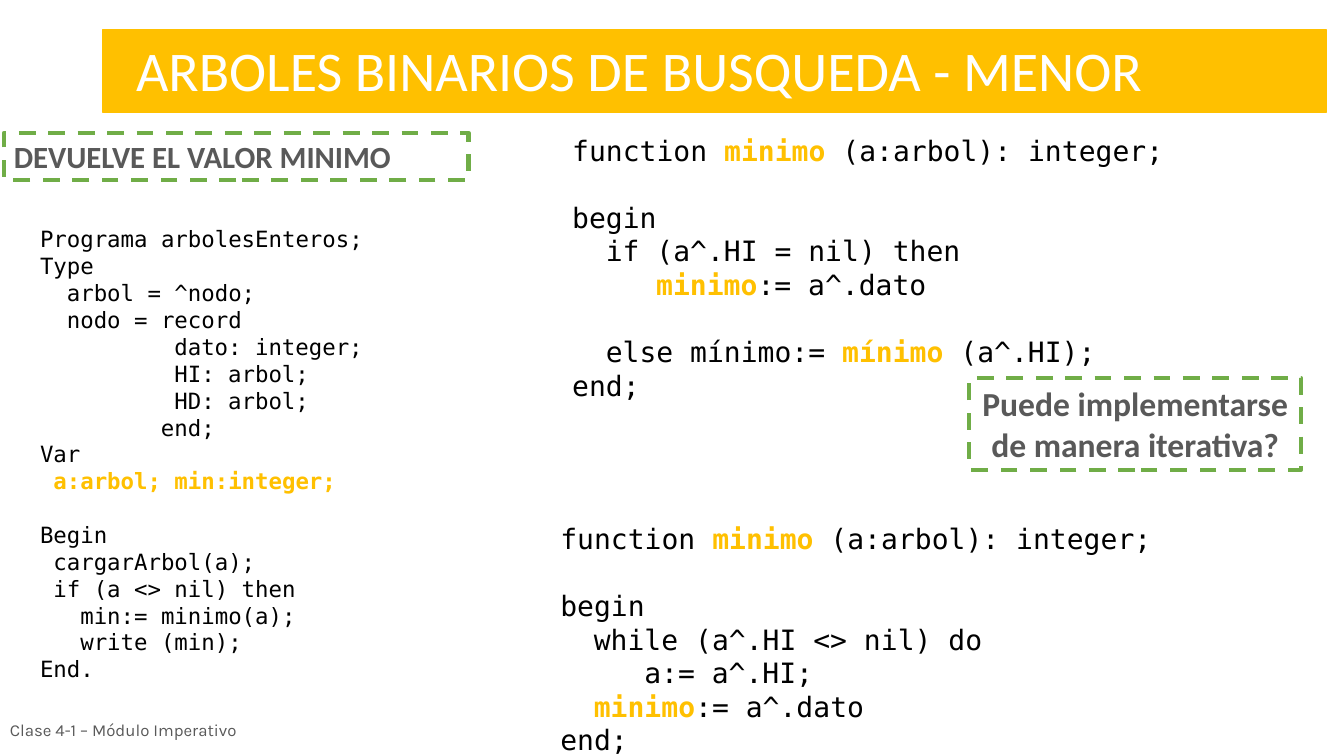
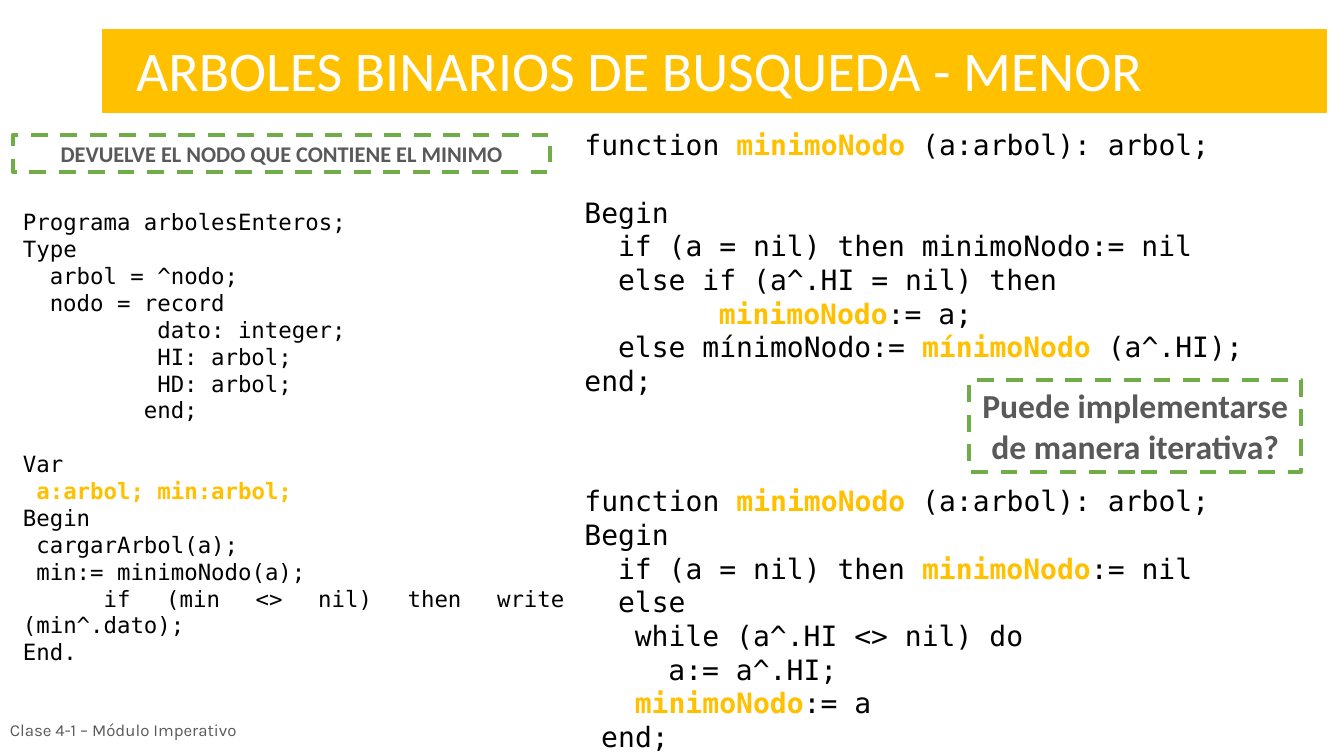
from pptx import Presentation
from pptx.dml.color import RGBColor
from pptx.enum.dml import MSO_LINE
from pptx.enum.shapes import MSO_SHAPE as SHAPE
from pptx.enum.text import MSO_ANCHOR as ANCHOR, PP_ALIGN as ALIGN
from pptx.util import Cm, Pt

GOLD, GREEN, GRAY, BLACK, WHITE = "FFC000", "70AD47", "595959", "000000", "FFFFFF"
SANS, MONO, FOOT = "Calibri", "DejaVu Sans Mono", "Karla"
CHAR_WIDTH, LINE_HEIGHT = 0.6, 1.2

TITLE = "ARBOLES BINARIOS DE BUSQUEDA - MENOR"
FOOTER = "Clase 4-1 – Módulo Imperativo"
QUESTION = "Puede implementarse de manera iterativa?"

TYPES = """Programa arbolesEnteros;
Type
  arbol = ^nodo;
  nodo = record
          dato: integer;
          HI: arbol;
          HD: arbol;
         end;
"""

SLIDES = [
    {
        "tag": ("DEVUELVE EL VALOR MINIMO", 22, ALIGN.LEFT, (0.1, 3.35, 11.71, 1.19)),
        "question_top": 9.53,
        "code": [
            (16, (0.76, 5.56, 11.05, 11.89), TYPES + """Var
 *a:arbol; min:integer;*

Begin
 cargarArbol(a);
 if (a <> nil) then
   min:= minimo(a);
   write (min);
End."""),
            (20, (14.17, 3.23, 18.62, 7.09), """function *minimo* (a:arbol): integer;

begin
  if (a^.HI = nil) then
     *minimo*:= a^.dato

  else mínimo:= *mínimo* (a^.HI);
end;"""),
            (20, (13.87, 13.01, 18.62, 6.25), """function *minimo* (a:arbol): integer;

begin
  while (a^.HI <> nil) do
     a:= a^.HI;
  *minimo*:= a^.dato
end;"""),
        ],
    },
    {
        "tag": ("DEVUELVE EL NODO QUE CONTIENE EL MINIMO", 16, ALIGN.CENTER,
                (0.33, 3.4, 13.54, 0.94)),
        "question_top": 9.58,
        "code": [
            (16, (0.33, 5.13, 14.15, 11.2), TYPES + """
Var
 *a:arbol; min:arbol;*
Begin
 cargarArbol(a);
 min:= minimoNodo(a);
      if (min <> nil) then write (min^.dato);
End."""),
            (20, (14.48, 3.1, 18.62, 7.09), """function *minimoNodo* (a:arbol): arbol;

Begin
  if (a = nil) then minimoNodo:= nil
  else if (a^.HI = nil) then
        *minimoNodo*:= a;
  else mínimoNodo:= *mínimoNodo* (a^.HI);
end;"""),
            (20, (14.48, 12.07, 18.62, 7.09), """function *minimoNodo* (a:arbol): arbol;
Begin
  if (a = nil) then *minimoNodo*:= nil
  else
   while (a^.HI <> nil) do
     a:= a^.HI;
   *minimoNodo*:= a
 end;"""),
        ],
    },
]


def rgb(color):
    return RGBColor.from_string(color)


def add_run(p, text, size, font, color, bold=False):
    r = p.add_run()
    r.text = text
    r.font.size, r.font.name, r.font.bold = Pt(size), font, bold
    r.font.color.rgb = rgb(color)


def add_frame(slide, box):
    tf = slide.shapes.add_textbox(*map(Cm, box)).text_frame
    tf.word_wrap = True
    return tf


def add_rect(slide, box, line, width):
    s = slide.shapes.add_shape(SHAPE.RECTANGLE, *map(Cm, box))
    s.shadow.inherit = False
    s.fill.background()
    s.line.color.rgb = rgb(line)
    s.line.width = Pt(width)
    return s


def add_callout(slide, text, size, align, box):
    s = add_rect(slide, box, GREEN, 3)
    s.line.dash_style = MSO_LINE.DASH
    tf = s.text_frame
    tf.word_wrap = True
    tf.vertical_anchor = ANCHOR.TOP
    p = tf.paragraphs[0]
    p.alignment = align
    add_run(p, text, size, SANS, GRAY, True)


def add_code(slide, size, box, code):
    tf = add_frame(slide, box)
    p, gap = tf.paragraphs[0], 0
    for line in code.splitlines():
        text = line.lstrip()
        if not text:
            gap += size * LINE_HEIGHT
            continue
        if p.runs:
            p = tf.add_paragraph()
        p.alignment = ALIGN.JUSTIFY
        p.space_before, gap = Pt(gap), 0
        indent = Pt((len(line) - len(text)) * size * CHAR_WIDTH)
        p._p.get_or_add_pPr().set("indent", str(indent))
        for i, part in enumerate(text.split("*")):
            marked = i % 2 == 1
            if part:
                add_run(p, part, size, MONO, GOLD if marked else BLACK, marked)


def add_frame_parts(slide):
    band = add_rect(slide, (2.59, 0.76, 30.84, 2.06), GOLD, 1)
    band.fill.solid()
    band.fill.fore_color.rgb = rgb(GOLD)
    title = add_frame(slide, (3.18, 0.76, 29.62, 1.96))
    add_run(title.paragraphs[0], TITLE, 40, SANS, WHITE)
    footer = add_frame(slide, (0, 17.81, 7.54, 1.14))
    footer.vertical_anchor = ANCHOR.MIDDLE
    add_run(footer.paragraphs[0], FOOTER, 12, FOOT, GRAY)


def main():
    prs = Presentation()
    prs.slide_width, prs.slide_height = Cm(33.87), Cm(19.05)
    for content in SLIDES:
        slide = prs.slides.add_slide(prs.slide_layouts[6])
        add_frame_parts(slide)
        add_callout(slide, *content["tag"])
        for block in content["code"]:
            add_code(slide, *block)
        add_callout(slide, QUESTION, 24, ALIGN.CENTER,
                    (24.43, content["question_top"], 8.36, 2.31))
    prs.save("out.pptx")


if __name__ == "__main__":
    main()
